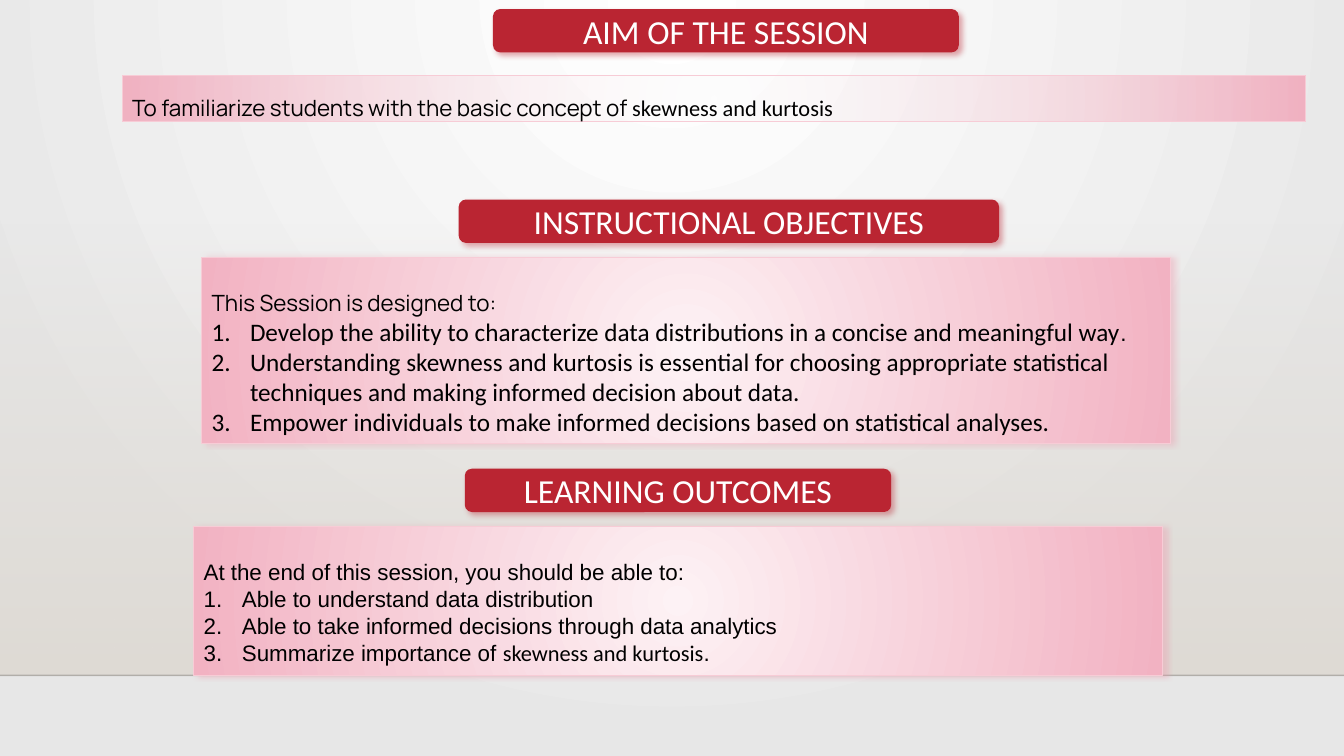
from dataclasses import dataclass

from pptx import Presentation, util as u
from pptx.dml.color import RGBColor
from pptx.enum import shapes as es, text as et
from pptx.oxml import parse_xml
from pptx.oxml.ns import nsdecls, qn

WIDE, HIGH = 13.33, 7.5
HUE = {"white": "FFFFFF", "mist": "E7E7E7", "sand": "DFDBD5", "ink": "000000",
       "rule": "000001", "red": "BA2532", "blush": "FDF2F5", "pink": "F2B2C2",
       "edge": "F7CCD6", "glow": "EE99AD"}
NS = nsdecls("a")
MID = (50, 50, 50, 50)


@dataclass
class Box:
    """Left, top, width and height in hundredths of the slide."""
    x: float
    y: float
    w: float
    h: float

    def frame(self) -> dict:
        return {"left": u.Inches(self.x * WIDE / 100), "top": u.Inches(self.y * HIGH / 100),
                "width": u.Inches(self.w * WIDE / 100), "height": u.Inches(self.h * HIGH / 100)}


@dataclass
class Run:
    words: str
    face: str = "Arial"
    size: int = 16


@dataclass
class Part:
    """One section: a banner with a panel below it."""
    head: str
    tag: Box
    body: Box
    slot: int
    lead: list[Run]
    items: list[list[Run]]
    space: float = 2
    clear: bool = False


TOPIC = Run("skewness and kurtosis", "Calibri")
PARTS = [
    Part("AIM OF THE SESSION", Box(36.68, 1.2, 34.66, 5.73), Box(9.08, 10, 88.07, 6.13), 1,
         [Run("To familiarize students with the basic concept of ", "Manrope"), TOPIC],
         [], 1.5, True),
    Part("INSTRUCTIONAL OBJECTIVES", Box(34.13, 26.4, 40.21, 5.73),
         Box(15, 34, 72.09, 24.67), 2,
         [Run("This Session is designed to:", "Manrope")],
         [[Run("Develop the ability to characterize data distributions in a concise "
               "and meaningful way", "Calibri", 18), Run(".")],
          [Run("Understanding skewness and kurtosis is essential for choosing appropriate "
               "statistical techniques and making informed decision about data.",
               "Calibri", 18)],
          [Run("Empower individuals to make informed decisions based on statistical "
               "analyses.", "Calibri", 18)]]),
    Part("LEARNING OUTCOMES", Box(34.58, 62, 31.73, 5.73), Box(14.4, 69.6, 72.09, 19.73), 4,
         [Run("At the end of this session, you should be able to:")],
         [[Run("Able to understand data distribution")],
          [Run("Able to take informed decisions through data analytics")],
          [Run("Summarize importance of "), TOPIC, Run(".")]]),
]


def rgb(name: str) -> RGBColor:
    return RGBColor.from_string(HUE[name])


def apply(thing, looks: dict) -> None:
    for key, val in looks.items():
        setattr(thing, key, val)


def blend(fill, node, first: str, last: str, core=None, clear: bool = False) -> None:
    """Two-stop gradient: radial around core, or downward without one."""
    fill.gradient()
    grad = node.find(".//" + qn("a:gradFill"))
    for child in list(grad):
        grad.remove(child)
    alpha = '<a:alpha val="0"/>' if clear else ""
    grad.append(parse_xml(
        f'<a:gsLst {NS}><a:gs pos="0"><a:srgbClr val="{HUE[first]}">{alpha}</a:srgbClr></a:gs>'
        f'<a:gs pos="100000"><a:srgbClr val="{HUE[last]}"/></a:gs></a:gsLst>'))
    if core:
        rect = " ".join(f'{side}="{val * 1000}"' for side, val in zip("ltrb", core))
        grad.append(parse_xml(f'<a:path {NS} path="circle"><a:fillToRect {rect}/></a:path>'))
    else:
        grad.append(parse_xml(f'<a:lin {NS} ang="5400000" scaled="0"/>'))


def shade(shape, name: str, angle: int) -> None:
    shape._element.spPr.append(parse_xml(
        f'<a:effectLst {NS}><a:outerShdw blurRad="{u.Pt(4)}" dist="{u.Pt(3)}" '
        f'dir="{angle * 60000}" algn="ctr" rotWithShape="0"><a:srgbClr val="{HUE[name]}">'
        '<a:alpha val="40000"/></a:srgbClr></a:outerShdw></a:effectLst>'))


def write(para, runs: list[Run], color: str) -> None:
    for run in runs:
        piece = para.add_run()
        piece.text = run.words
        apply(piece.font, {"name": run.face, "size": u.Pt(run.size), "bold": False})
        piece.font.color.rgb = rgb(color)


def setup(frame, anchor) -> None:
    apply(frame, {"word_wrap": True, "auto_size": et.MSO_AUTO_SIZE.NONE,
                  "vertical_anchor": anchor})


def banner(slide, part: Part) -> None:
    plate = slide.shapes.add_shape(es.MSO_SHAPE.ROUNDED_RECTANGLE, **part.tag.frame())
    plate.fill.solid()
    plate.fill.fore_color.rgb = rgb("red")
    plate.line.fill.background()
    shade(plate, "red", 45)
    label = plate
    if part is PARTS[0]:  # the slide title lies on the first plate
        label = slide.shapes.title
        apply(label, part.tag.frame())
        slide.shapes._spTree.append(label._element)
    setup(label.text_frame, et.MSO_ANCHOR.MIDDLE)
    para = label.text_frame.paragraphs[0]
    para.alignment = et.PP_ALIGN.CENTER
    write(para, [Run(part.head, "Calibri", 24)], "white")


def panel(slide, part: Part) -> None:
    hold = next(p for p in slide.placeholders if p.placeholder_format.idx == part.slot)
    apply(hold, part.body.frame())
    slide.shapes._spTree.append(hold._element)
    blend(hold.fill, hold._element, "blush", "pink", MID, part.clear)
    hold.line.color.rgb = rgb("edge")
    hold.line.width = u.Pt(0.75)
    if not part.clear:
        shade(hold, "glow", 0)
    frame = hold.text_frame
    setup(frame, et.MSO_ANCHOR.TOP)
    for row, runs in enumerate([part.lead, *part.items]):
        para = frame.add_paragraph() if row else frame.paragraphs[0]
        prop = para._p.get_or_add_pPr()
        dent = u.Inches(0.38) if row else 0
        prop.set("marL", str(dent))
        prop.set("indent", str(-dent))
        mark = 'buAutoNum {} type="arabicPeriod"' if row else "buNone {}"
        prop.append(parse_xml(f"<a:{mark.format(NS)}/>"))
        apply(para, {"space_before": u.Pt(0), "alignment": et.PP_ALIGN.LEFT,
                     "line_spacing": 1.0 if row else float(part.space)})
        write(para, runs, "ink")


def stage(slide) -> None:
    """Backdrop: radial wall, sand band and floor rule."""
    blend(slide.background.fill, slide._element, "white", "mist", (43, 0, 43, 100))
    wall = Box(0, 29.47, 100, 59.87)
    band = slide.shapes.add_shape(es.MSO_SHAPE.RECTANGLE, **wall.frame())
    band.shadow.inherit = False
    blend(band.fill, band._element, "sand", "sand", clear=True)
    band.line.fill.background()
    floor = band.top + band.height
    rule = slide.shapes.add_connector(es.MSO_CONNECTOR.STRAIGHT, 0, floor, band.width, floor)
    rule.line.color.rgb = rgb("rule")
    rule.line.width = u.Pt(1)
    tint = rule._element.find(".//" + qn("a:srgbClr"))
    tint.append(parse_xml(f'<a:alpha {NS} val="20000"/>'))
    rule._element.spPr.append(parse_xml(f"<a:effectLst {NS}/>"))


def main() -> None:
    deck = Presentation()
    apply(deck, {"slide_width": u.Inches(WIDE), "slide_height": u.Inches(HIGH)})
    slide = deck.slides.add_slide(deck.slide_layouts.get_by_name("Comparison"))
    stage(slide)
    for part in PARTS:
        banner(slide, part)
        panel(slide, part)
    # Drop the unused slot
    for hold in list(slide.placeholders):
        if not hold.text_frame.text:
            slide.shapes._spTree.remove(hold._element)
    deck.save("out.pptx")


if __name__ == "__main__":
    main()
